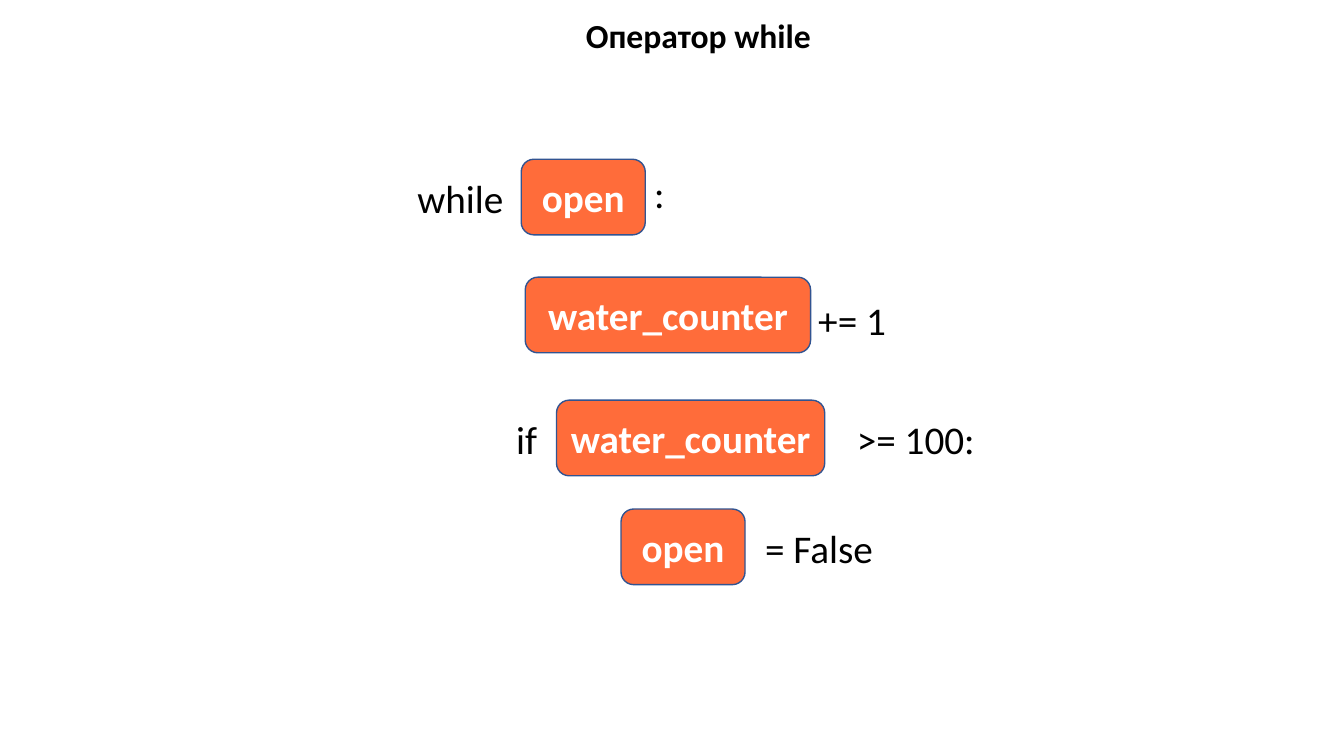
"""Build the slide that explains the while loop with variable blocks."""
from pptx import Presentation
from pptx.dml.color import RGBColor
from pptx.enum.shapes import MSO_SHAPE
from pptx.enum.text import MSO_ANCHOR, MSO_AUTO_SIZE, PP_ALIGN
from pptx.util import Pt

ROUNDED = MSO_SHAPE.ROUNDED_RECTANGLE
TOP, MIDDLE = MSO_ANCHOR.TOP, MSO_ANCHOR.MIDDLE
LEFT, CENTER = PP_ALIGN.LEFT, PP_ALIGN.CENTER
NO_FIT = MSO_AUTO_SIZE.NONE

PX = 9144
WIDTH, HEIGHT = 1333, 750
FONT = "Calibri"
BLACK, WHITE, ORANGE, BLUE = "000000", "FFFFFF", "FF6C3A", "325491"
BLOCK_H, LABEL_H = 75, 57

TITLE = ("Оператор while", (571, 10, 289, 50))
# Each line: block (text, left, top, width), labels (text, left, width, drop)
LINES = [
    (("open", 517, 158, 123), [("while", 404, 135, 10), (":", 639, 30, 5)]),
    (("water_counter", 521, 275, 283), [(" += 1", 793, 116, 14)]),
    (("water_counter", 552, 397, 266), [("if", 502, 48, 10), (">= 100:", 840, 158, 10)]),
    (("open", 616, 505, 123), [("= False", 749, 158, 10)]),
]


def emu(*lengths):
    return [n * PX for n in lengths]


def color(value):
    return RGBColor.from_string(value)


def write(sp, text, size, fill, bold=False, align=LEFT, anchor=TOP):
    tf = sp.text_frame
    tf.word_wrap = False
    tf.auto_size = NO_FIT
    tf.vertical_anchor = anchor
    p = tf.paragraphs[0]
    p.alignment = align
    r = p.add_run()
    r.text = text
    r.font.name = FONT
    r.font.size = Pt(size)
    r.font.bold = bold
    r.font.color.rgb = color(fill)


def add_block(shapes, text, left, top, width):
    sp = shapes.add_shape(ROUNDED, *emu(left, top, width, BLOCK_H))
    sp.shadow.inherit = False
    sp.fill.solid()
    sp.fill.fore_color.rgb = color(ORANGE)
    sp.line.color.rgb = color(BLUE)
    sp.line.width = Pt(1)
    write(sp, text, 28, WHITE, True, CENTER, MIDDLE)


def add_label(shapes, text, left, top, width):
    sp = shapes.add_textbox(*emu(left, top, width, LABEL_H))
    write(sp, text, 28, BLACK)


def main():
    prs = Presentation()
    prs.slide_width, prs.slide_height = emu(WIDTH, HEIGHT)
    s = prs.slides.add_slide(prs.slide_layouts[5])

    text, box = TITLE
    title = s.shapes.title
    title.left, title.top, title.width, title.height = emu(*box)
    write(title, text, 24, BLACK, True)

    for block, labels in LINES:
        group = s.shapes.add_group_shape()
        add_block(group.shapes, *block)
        top = block[2]
        for text, left, width, drop in labels:
            add_label(group.shapes, text, left, top + drop, width)

    prs.save("out.pptx")


if __name__ == "__main__":
    main()
